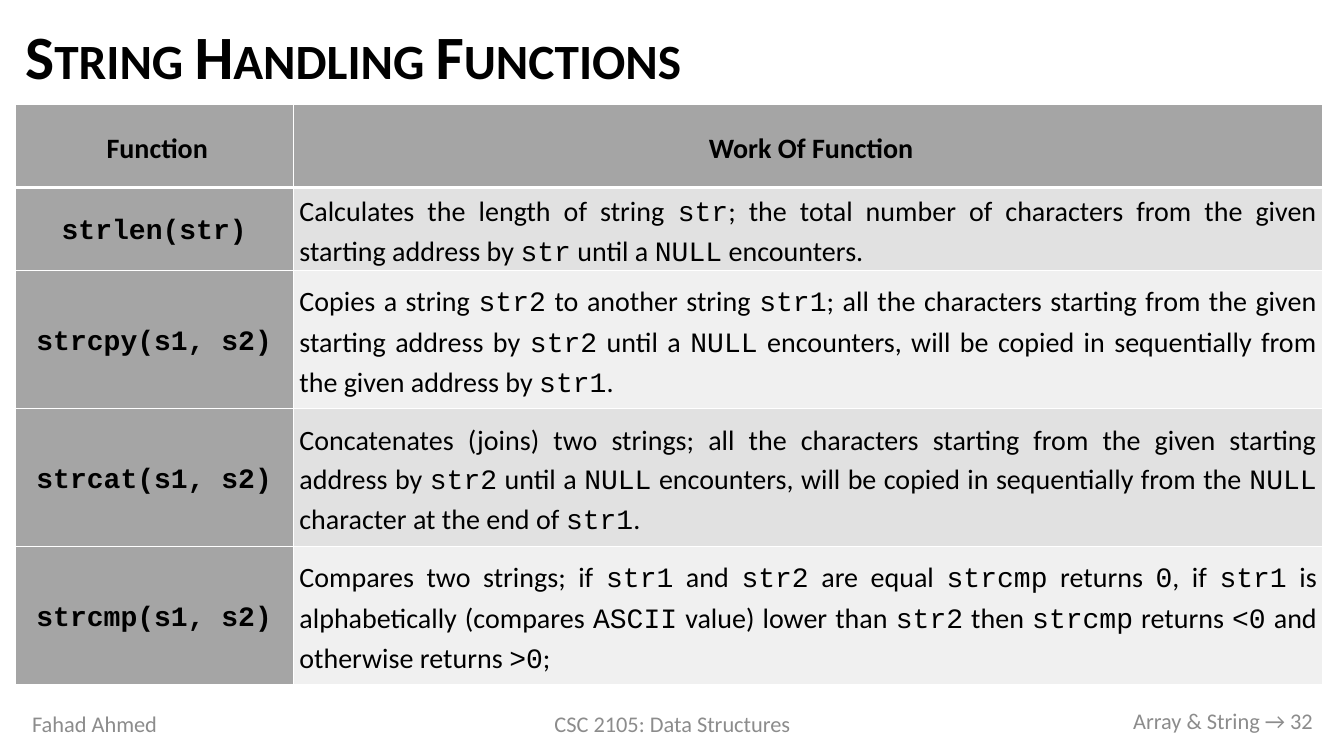
from lxml.etree import SubElement
from pptx import Presentation
from pptx.dml.color import RGBColor
from pptx.enum.text import MSO_ANCHOR, PP_ALIGN
from pptx.oxml.ns import qn
from pptx.util import Inches, Pt

BLACK = RGBColor(0x00, 0x00, 0x00)
FOOTER_GRAY = RGBColor(0x8C, 0x8C, 0x8C)
HEADER_GRAY = RGBColor(0xA5, 0xA5, 0xA5)
BANDS = [RGBColor(0xE1, 0xE1, 0xE1), RGBColor(0xF0, 0xF0, 0xF0)]
BORDER = "FFFFFF"
BODY_FONT, CODE_FONT = "Calibri", "Courier New"

# Content: backticks enclose code
TITLE = "String Handling Functions"
ROWS = [
    ("Function", "Work Of Function"),
    ("`strlen(str)`",
     "Calculates the length of string `str`; the total number of characters from the "
     "given starting address by `str` until a `NULL` encounters. "),
    ("`strcpy(s1, s2)`",
     "Copies a string `str2` to another string `str1`; all the characters starting from "
     "the given starting address by `str2` until a `NULL` encounters, will be copied in "
     "sequentially from the given address by `str1`."),
    ("`strcat(s1, s2)`",
     "Concatenates (joins) two strings; all the characters starting from the given "
     "starting address by `str2` until a `NULL` encounters, will be copied in "
     "sequentially from the `NULL` character at the end of `str1`."),
    ("`strcmp(s1, s2)`",
     "Compares two strings; if `str1` and `str2` are equal `strcmp` returns `0`, if "
     "`str1` is alphabetically (compares `ASCII` value) lower than `str2` then `strcmp` "
     "returns `<0` and otherwise returns `>0`; "),
]
COLUMN_WIDTHS = [2.76, 10.21]
ROW_HEIGHTS = [0.82, 0.71, 1.37, 1.37, 1.37]
FOOTERS = [  # text, left, top, width, alignment
    ("Fahad Ahmed", 0.22, 6.98, 3, PP_ALIGN.LEFT),
    ("CSC 2105: Data Structures", 4.42, 6.98, 4.5, PP_ALIGN.CENTER),
    ("Array & String → 32", 10.12, 6.95, 3, PP_ALIGN.RIGHT),
]
LEFT, WIDTH = 0.15, sum(COLUMN_WIDTHS)


def style(font, size, color, name=BODY_FONT, bold=False):
    font.size, font.name, font.bold = Pt(size), name, bold
    font.color.rgb = color


def fill_cell(cell, text, color, is_header, is_label):
    cell.fill.solid()
    cell.fill.fore_color.rgb = color
    cell.vertical_anchor = MSO_ANCHOR.MIDDLE
    cell.margin_left = Inches(0.06)
    cell.margin_right = Inches(0 if is_header else 0.06)
    cell.margin_top = Inches(0.03 if is_header else 0.02)
    cell.margin_bottom = Inches(0.02 if is_header else 0)
    para = cell.text_frame.paragraphs[0]
    para.alignment = PP_ALIGN.CENTER if is_header or is_label else PP_ALIGN.JUSTIFY
    para.line_spacing = 1.15
    for index, part in enumerate(text.split("`")):
        if part:
            span = para.add_run()
            span.text = part
            name = CODE_FONT if index % 2 else BODY_FONT
            style(span.font, 20, BLACK, name, is_header or is_label)


def add_borders(cell, widths):
    properties = cell._tc.get_or_add_tcPr()
    for index, (side, width) in enumerate(zip("LRTB", widths)):
        line = SubElement(properties, qn(f"a:ln{side}"), w=str(Pt(width)))
        solid = SubElement(line, qn("a:solidFill"))
        SubElement(solid, qn("a:srgbClr"), val=BORDER)
        properties.insert(index, line)  # borders come before the fill


deck = Presentation()
deck.slide_width, deck.slide_height = Inches(13.33), Inches(7.5)
page = deck.slides.add_slide(deck.slide_layouts[5])

# Title
title = page.shapes.title
title.left, title.top = Inches(LEFT), Inches(0.15)
title.width, title.height = Inches(WIDTH), Inches(0.89)
title.text_frame.text = TITLE
title.text_frame.vertical_anchor = MSO_ANCHOR.MIDDLE
para = title.text_frame.paragraphs[0]
para.alignment, para.line_spacing = PP_ALIGN.LEFT, 0.9
style(para.runs[0].font, 44, BLACK, bold=True)
para.runs[0]._r.get_or_add_rPr().set("cap", "small")

# Function table
table = page.shapes.add_table(len(ROWS), len(COLUMN_WIDTHS), Inches(LEFT), Inches(1.04),
                              Inches(WIDTH), Inches(sum(ROW_HEIGHTS))).table
for column, width in zip(table.columns, COLUMN_WIDTHS):
    column.width = Inches(width)
for row, height in zip(table.rows, ROW_HEIGHTS):
    row.height = Inches(height)
for r, texts in enumerate(ROWS):
    for c, text in enumerate(texts):
        is_header, is_label = r == 0, c == 0
        color = HEADER_GRAY if is_header or is_label else BANDS[(r - 1) % 2]
        cell = table.cell(r, c)
        fill_cell(cell, text, color, is_header, is_label)
        add_borders(cell, [1, 1, 3 if r == 1 else 1, 3 if is_header else 1])

# Footer
for text, left, top, width, alignment in FOOTERS:
    box = page.shapes.add_textbox(Inches(left), Inches(top), Inches(width), Inches(0.4))
    box.text_frame.word_wrap = True
    box.text_frame.vertical_anchor = MSO_ANCHOR.MIDDLE
    box.text_frame.text = text
    para = box.text_frame.paragraphs[0]
    para.alignment = alignment
    style(para.runs[0].font, 16, FOOTER_GRAY)

deck.save("out.pptx")
